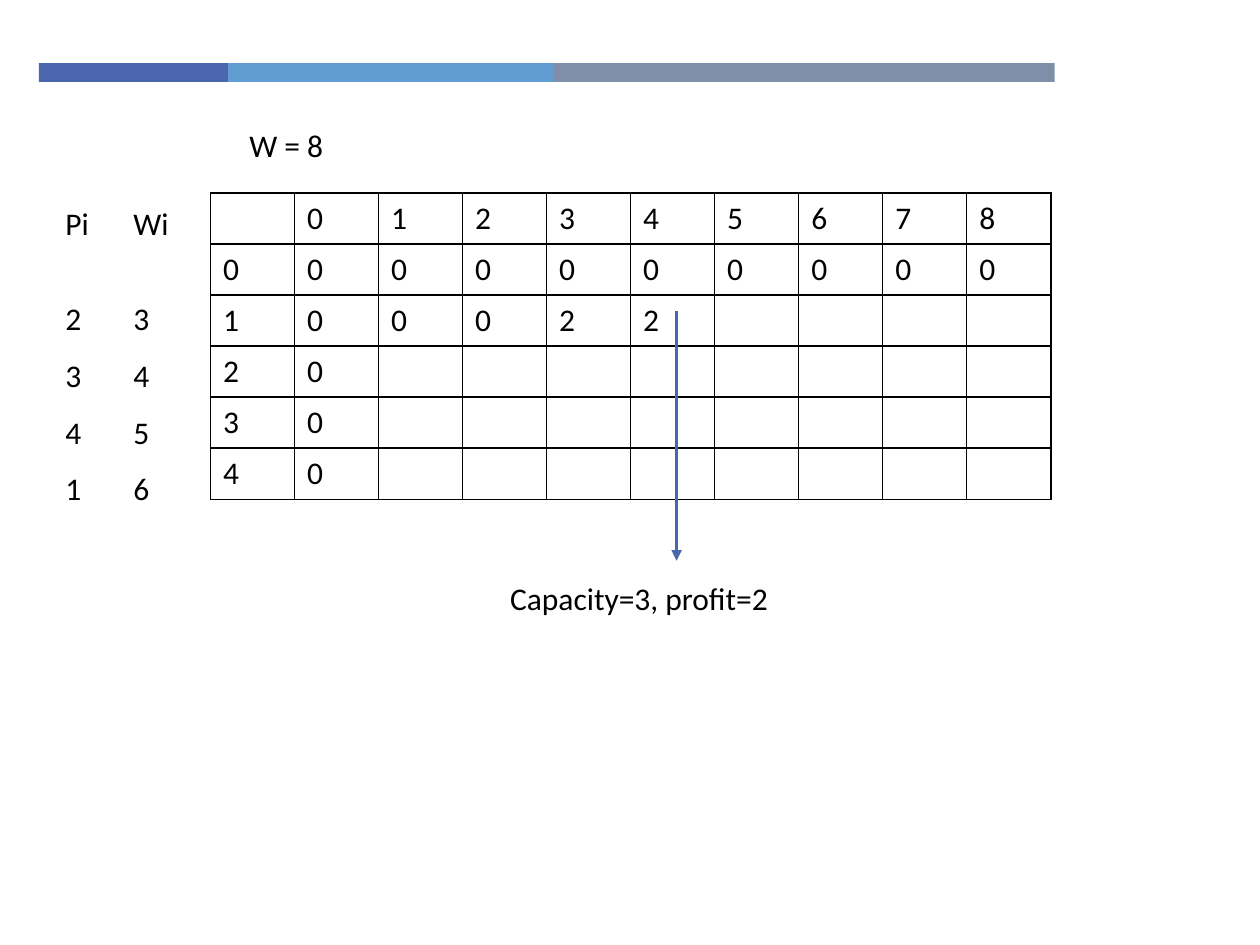
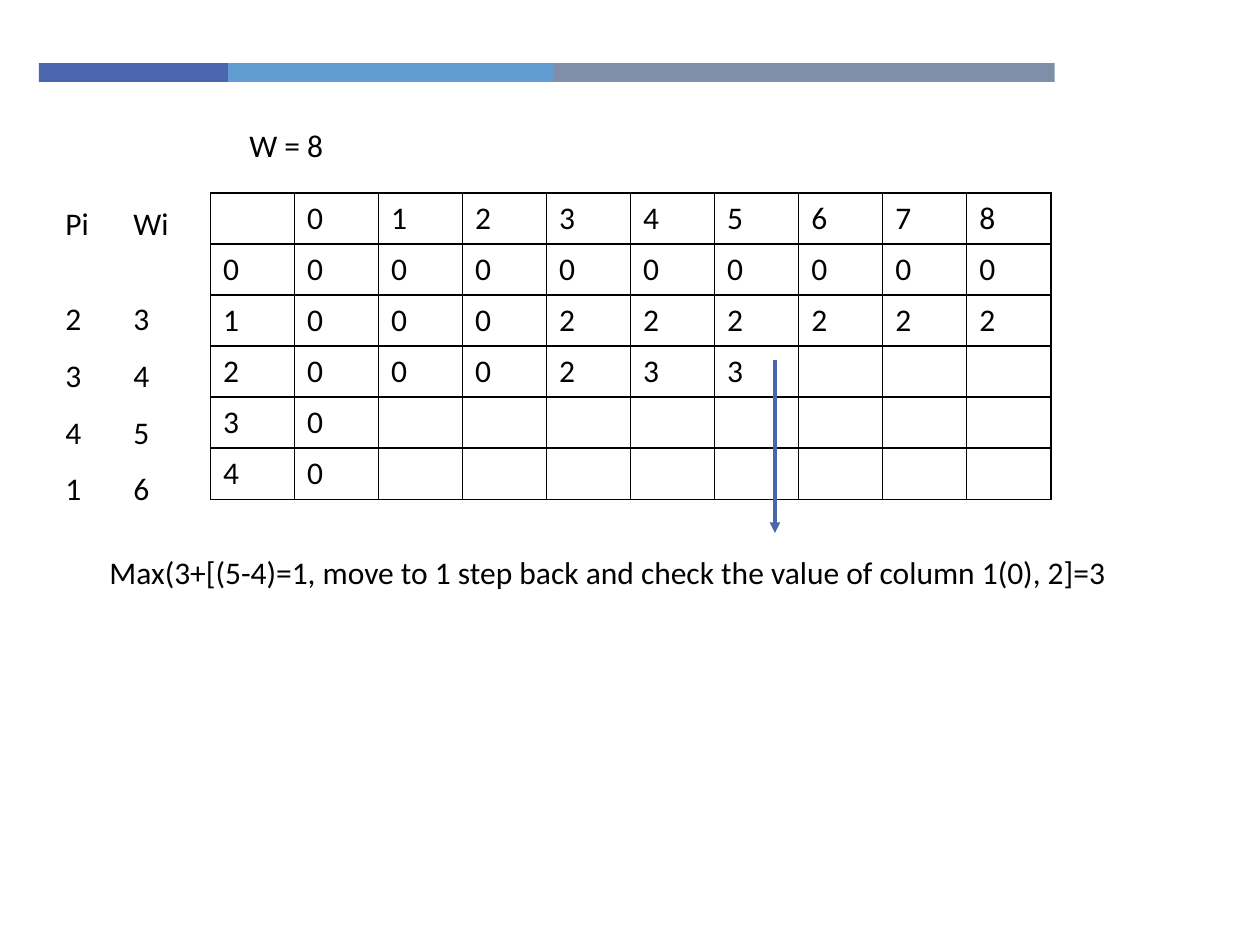
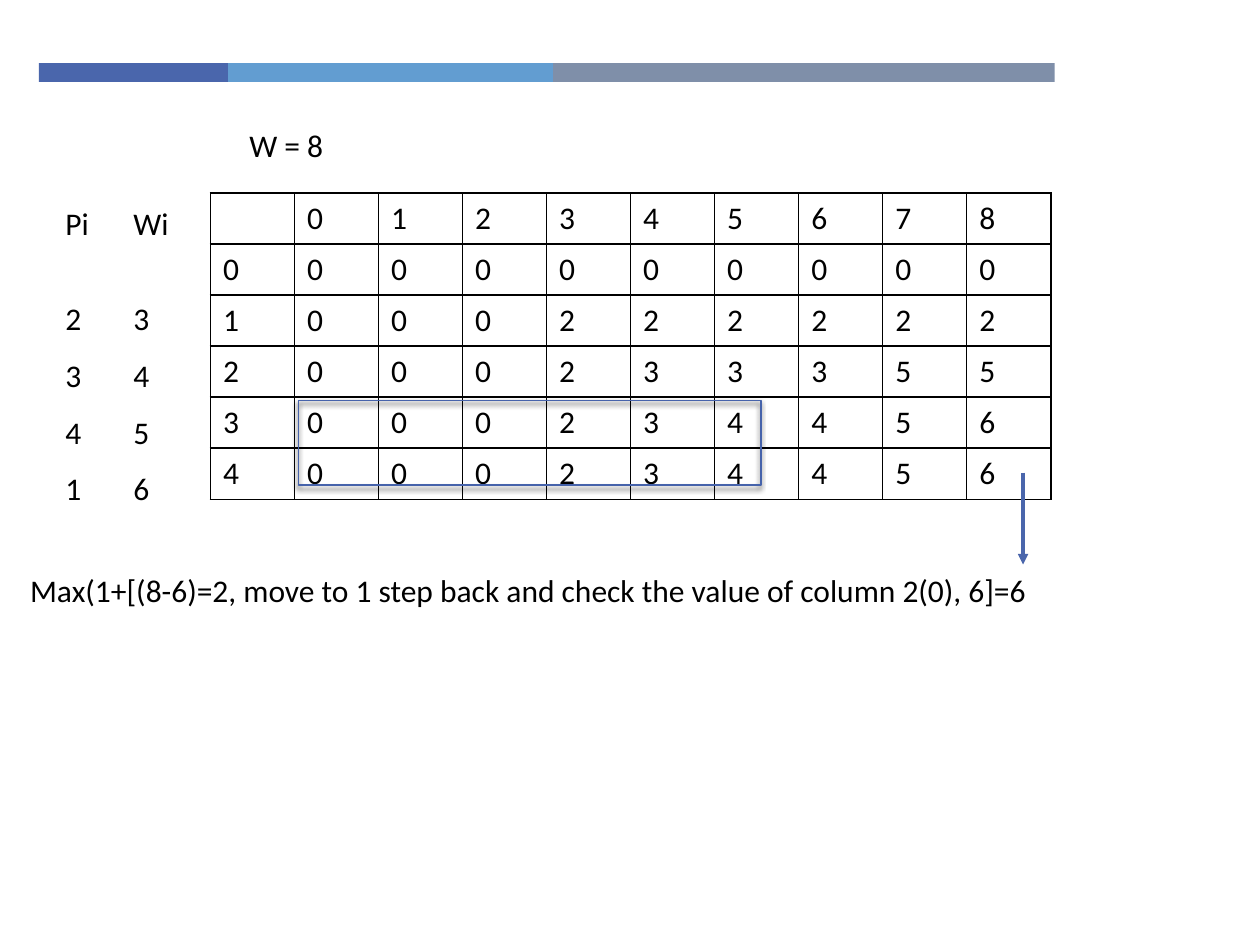
from lxml import etree
from pptx import Presentation
from pptx.dml.color import RGBColor
from pptx.enum.shapes import MSO_CONNECTOR, MSO_SHAPE
from pptx.enum.text import MSO_AUTO_SIZE
from pptx.oxml import parse_xml
from pptx.oxml.ns import nsdecls, qn
from pptx.util import Inches, Pt

RECT = MSO_SHAPE.RECTANGLE
STRAIGHT = MSO_CONNECTOR.STRAIGHT
GROW = MSO_AUTO_SIZE.SHAPE_TO_FIT_TEXT

FONT, SIZE = "Calibri", 18
BLACK, BLUE, SKY, SLATE, OUTLINE = "000000", "4A66AC", "629DD1", "7F8FA9", "4663AB"
BANDS = [(15, BLUE), (25.8, SKY), (39.8, SLATE)]

PROFITS, WEIGHTS = "2341", "3456"
PROFIT_ROWS = ["000000000", "000222222", "000233355", "000234456", "000234456"]


def rgb(hex_text):
    return RGBColor.from_string(hex_text)


class Deck:
    """Holds the style and current slide of a deck drawn on a 100 by 75 grid."""

    def __init__(self):
        self.prs = Presentation()
        self.prs.slide_width, self.prs.slide_height = Inches(10), Inches(7.5)
        self.unit = self.prs.slide_width / 100
        self.s = None

    def grid(self, *lengths):
        return [round(length * self.unit) for length in lengths]

    def font(self, p):
        p.font.name, p.font.size = FONT, Pt(SIZE)
        p.font.color.rgb = rgb(BLACK)

    def slide(self):
        self.s = self.prs.slides.add_slide(self.prs.slide_layouts[6])
        x = 3.1
        for width, color in BANDS:
            self.band(x, 5, width, 1.5, color)
            x += width

    def band(self, x, y, w, h, color):
        sp = self.s.shapes.add_shape(RECT, *self.grid(x, y, w, h))
        sp.shadow.inherit = False
        sp.fill.solid()
        sp.fill.fore_color.rgb = rgb(color)
        sp.line.fill.background()

    def frame(self, x, y, w, h):
        sp = self.s.shapes.add_shape(RECT, *self.grid(x, y, w, h))
        sp.fill.background()
        sp.line.color.rgb, sp.line.width = rgb(OUTLINE), Pt(1)
        sp._element.spPr.append(parse_xml(
            f'<a:effectLst {nsdecls("a")}><a:outerShdw blurRad="{Pt(3)}" dist="{Pt(2)}"'
            f' dir="{110 * 60000}" rotWithShape="0"><a:srgbClr val="{BLACK}">'
            '<a:alpha val="75000"/></a:srgbClr></a:outerShdw></a:effectLst>'))

    def text(self, x, y, w, h, lines):
        tf = self.s.shapes.add_textbox(*self.grid(x, y, w, h)).text_frame
        tf.word_wrap, tf.auto_size = True, GROW
        tf.text = "\n".join(lines)
        for p in tf.paragraphs:
            self.font(p)
        return tf.paragraphs

    def item_column(self, x, heading, values):
        _, *items = self.text(x, 15.7, 7.1, 24.8, [heading, *values])
        for p in items:
            p.line_spacing = 1.5
        items[0].space_before = Pt(22)

    def arrow(self, x, top, bottom):
        line = self.s.shapes.add_connector(STRAIGHT, *self.grid(x, top, x, bottom))
        line.line.color.rgb, line.line.width = rgb(BLUE), Pt(2)
        etree.SubElement(line.line._get_or_add_ln(), qn("a:tailEnd"), type="triangle")
        etree.SubElement(line._element.spPr, qn("a:effectLst"))

    def border(self, cell):
        tc_pr = cell._tc.get_or_add_tcPr()
        for side in "LRTB":
            tc_pr.append(parse_xml(
                f'<a:ln{side} {nsdecls("a")} w="{Pt(1)}"><a:solidFill>'
                f'<a:srgbClr val="{BLACK}"/></a:solidFill></a:ln{side}>'))

    def table(self, x, y, w, h, rows):
        table = self.s.shapes.add_table(len(rows), len(rows[0]), *self.grid(x, y, w, h)).table
        table.first_row = table.horz_banding = False
        for r, row in enumerate(rows):
            for c, value in enumerate(row):
                cell = table.cell(r, c)
                cell.text = value.strip()
                self.font(cell.text_frame.paragraphs[0])
                self.border(cell)
                cell.fill.background()

    def knapsack(self, filled):
        self.slide()
        rows = [" 012345678"]
        for item, (values, count) in enumerate(zip(PROFIT_ROWS, filled)):
            rows.append(f"{item}{values[:count]:<9}")
        self.table(16.7, 15.3, 66.7, 24.3, rows)
        self.item_column(9.6, "Wi", WEIGHTS)
        self.item_column(4.2, "Pi", PROFITS)
        self.text(18.8, 9.5, 9.5, 4, ["W = 8"])


def main():
    deck = Deck()

    deck.knapsack([9, 6 - 1, 1, 1, 1])
    deck.arrow(53.7, 24.7, 44.5)
    deck.text(39.5, 45.5, 27, 4, ["Capacity=3, profit=2"])

    deck.knapsack([9, 9, 6, 1, 1])
    deck.text(7.7, 43.4, 85, 4, [
        "Max(3+[(5-4)=1, move to 1 step back and check the value of column 1(0), 2]=3"])
    deck.arrow(61.5, 28.6, 42.3)

    deck.knapsack([9] * 5)
    deck.frame(23.7, 31.8, 36.7, 6.7)
    deck.text(1.4, 44.8, 94.2, 4, [
        "Max(1+[(8-6)=2, move to 1 step back and check the value of column 2(0), 6]=6"])
    deck.arrow(81.2, 37.5, 44.8)

    deck.prs.save("out.pptx")


if __name__ == "__main__":
    main()
